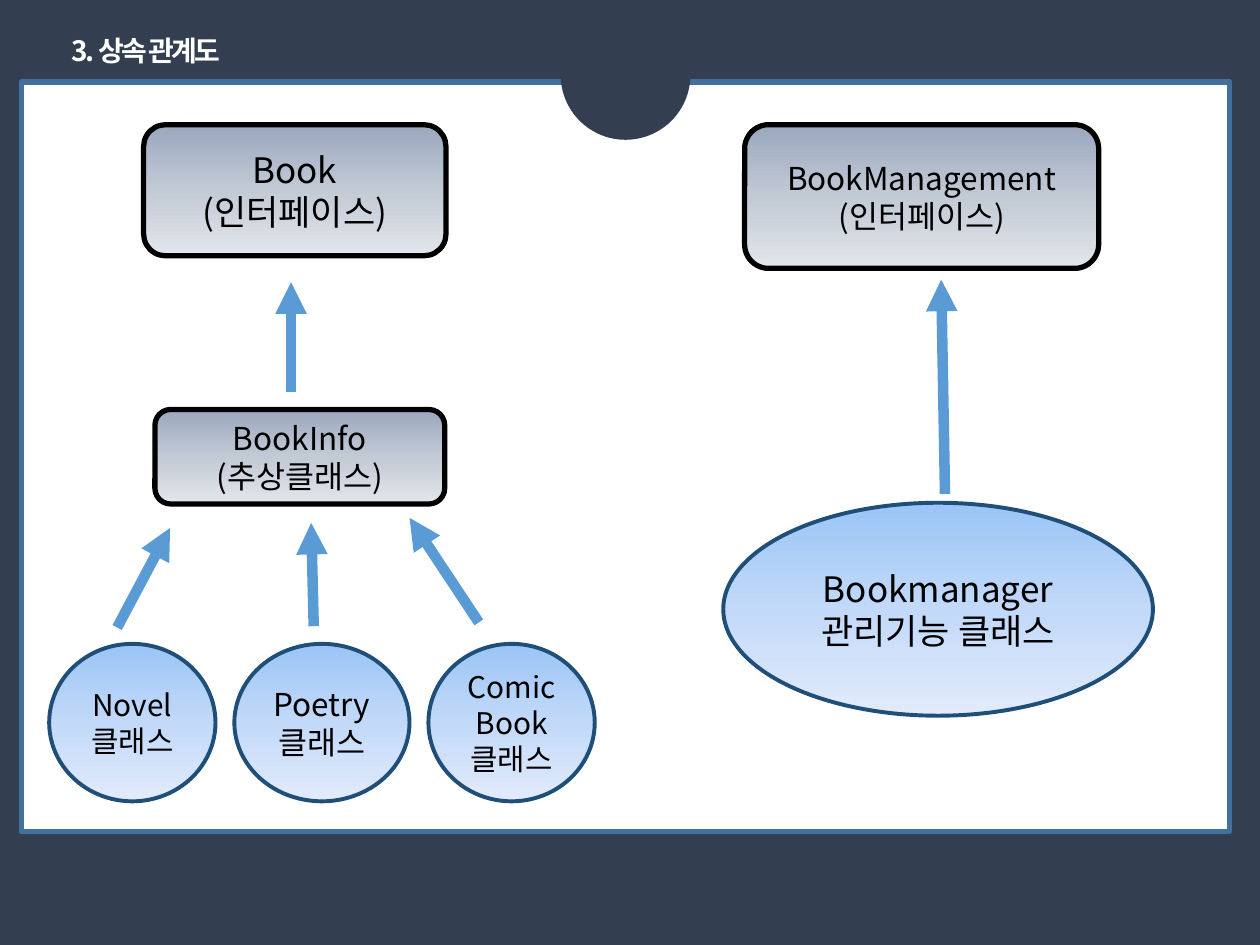
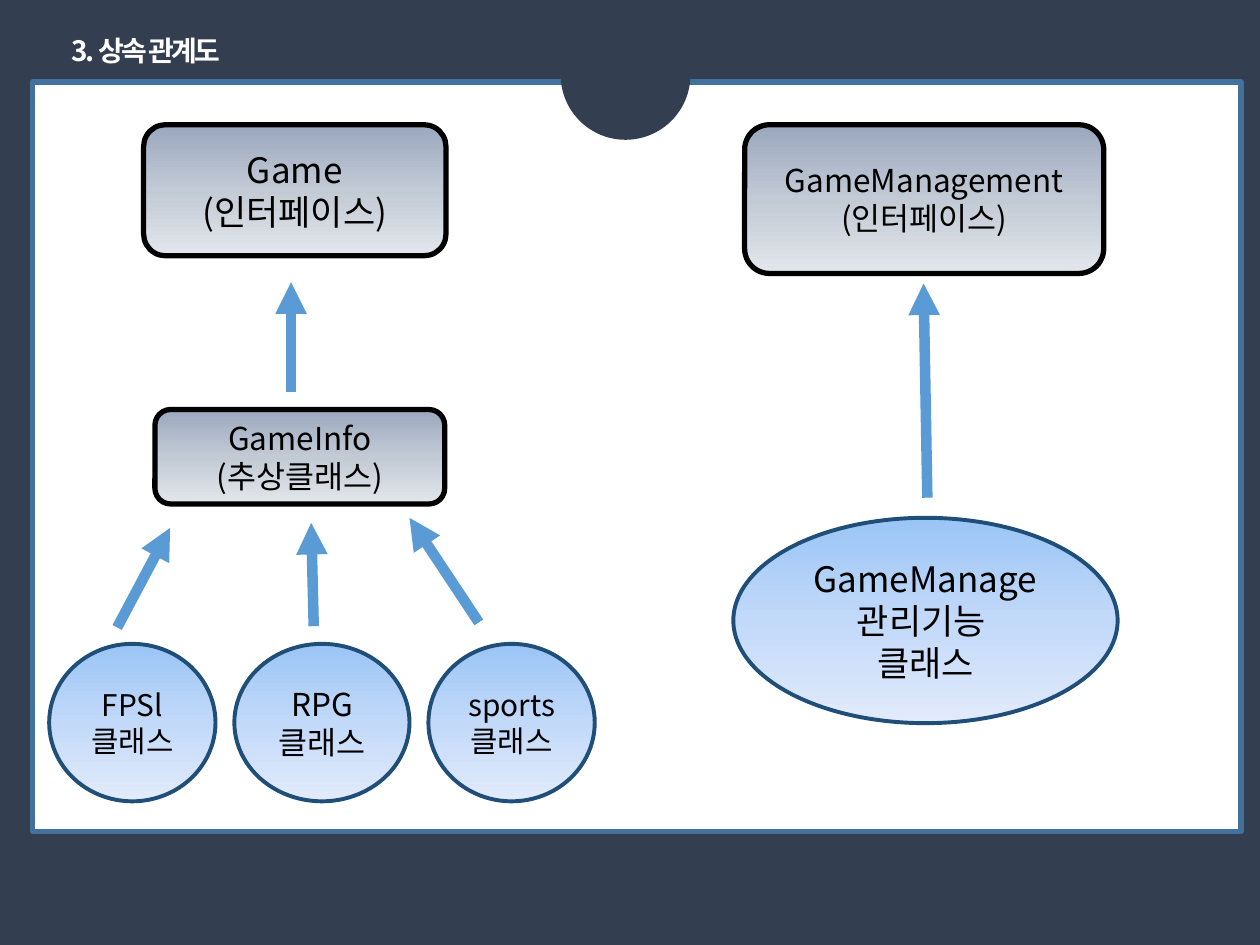
from copy import deepcopy
from dataclasses import dataclass

from pptx import Presentation
from pptx.dml.color import RGBColor
from pptx.enum.shapes import MSO_CONNECTOR as Connector, MSO_SHAPE as Shape
from pptx.enum.text import MSO_ANCHOR as Anchor, MSO_AUTO_SIZE as AutoSize, PP_ALIGN as Align
from pptx.oxml.ns import qn
from pptx.oxml.xmlchemy import OxmlElement
from pptx.util import Inches, Pt

# Content: one dict per slide; each box is (paragraphs, ...)
TITLE = "3. 상속 관계도"
INTERFACE, ABSTRACT, CLASS = "(인터페이스)", "(추상클래스)", "클래스"
DIAGRAMS = [
    {
        "panel_left": 0.17,
        "root": ["Book", INTERFACE],
        "base": ["BookInfo", ABSTRACT],
        "children": [["Novel", CLASS], ["Poetry 클래스"], ["ComicBook", CLASS]],
        "management": (["BookManagement", INTERFACE], (5.91, 0.99, 2.81, 1.14)),
        "manager": (["Bookmanager", "관리기능 클래스"], (5.74, 3.99, 3.41, 1.69)),
        "manager_arrow": (7.5, 3.92, 7.47, 2.22),
    },
    {
        "panel_left": 0.26,
        "root": ["Game", INTERFACE],
        "base": ["GameInfo", ABSTRACT],
        "children": [["FPSl", CLASS], ["RPG", CLASS], ["sports", CLASS]],
        "management": (["GameManagement", INTERFACE], (5.91, 0.99, 2.85, 1.18)),
        "manager": (["GameManage", "관리기능 ", CLASS], (5.82, 4.11, 3.05, 1.63)),
        "manager_arrow": (7.36, 3.95, 7.33, 2.25),
    },
]

# Places shared by both diagrams, in inches
ROOT_BOX = (1.14, 0.99, 2.4, 1.04)
BASE_BOX = (1.23, 3.25, 2.3, 0.75)
CHILD_TOP, CHILD_HEIGHT, CHILD_LEFT, CHILD_GAP = 5.11, 1.25, 0.39, 0.15
CHILD_WIDTHS = (1.32, 1.39, 1.32)
TREE_ARROWS = [
    (0.93, 4.98, 1.35, 4.19),
    (2.49, 4.97, 2.47, 4.15),
    (3.8, 4.94, 3.25, 4.11),
    (2.31, 3.11, 2.31, 2.24),
]


@dataclass(frozen=True)
class Theme:
    font: str = "Noto Sans CJK KR"
    background: str = "333F50"
    panel: str = "FFFFFF"
    panel_line: str = "41719C"
    arrow: str = "5B9BD5"
    text: str = "000000"
    title: str = "FFFFFF"
    box_gradient: tuple = ("9AA7BE", "C2CAD5", "E3E6EB")
    box_line: str = "000000"
    class_gradient: tuple = ("9BC5F6", "C2D9F9", "E2EBFB")
    class_line: str = "1F4E79"
    title_size: int = 16
    large: int = 20
    medium: int = 18
    child_sizes: tuple = (17, 18, 17)


THEME = Theme()


def color(value):
    return RGBColor.from_string(value)


def set_solid(fill, value):
    fill.solid()
    fill.fore_color.rgb = color(value)


def set_gradient(shape, colors):
    """Fill from top to bottom with evenly spaced colours."""
    shape.fill.gradient()
    shape.fill.gradient_angle = 270
    stop_list = shape._element.spPr.find(qn("a:gradFill")).find(qn("a:gsLst"))
    while len(stop_list) < len(colors):
        stop_list.append(deepcopy(stop_list[-1]))
    for index, (stop, value) in enumerate(zip(shape.fill.gradient_stops, colors)):
        stop.position = index / (len(colors) - 1)
        stop.color.rgb = color(value)


def set_font(paragraph, size, value, bold=None):
    font = paragraph.font
    font.name, font.size, font.bold = THEME.font, Pt(size), bold
    font.color.rgb = color(value)
    east_asian = OxmlElement("a:ea")
    east_asian.set("typeface", THEME.font)
    properties = paragraph._p.pPr.find(qn("a:defRPr"))
    properties.find(qn("a:latin")).addnext(east_asian)
    return properties


def add_shape(slide, kind, place, line=None, line_width=3):
    shape = slide.shapes.add_shape(kind, *map(Inches, place))
    shape.shadow.inherit = False
    if line:
        shape.line.color.rgb = color(line)
        shape.line.width = Pt(line_width)
    else:
        shape.line.fill.background()
    return shape


def add_node(slide, kind, place, lines, size):
    """Rounded box for a type, ellipse for a concrete class."""
    if kind == Shape.OVAL:
        colors, line, width = THEME.class_gradient, THEME.class_line, 2.25
    else:
        colors, line, width = THEME.box_gradient, THEME.box_line, 3
    shape = add_shape(slide, kind, place, line, width)
    set_gradient(shape, colors)
    frame = shape.text_frame
    frame.word_wrap = True
    frame.vertical_anchor = Anchor.MIDDLE
    frame.text = "\n".join(lines)
    for paragraph in frame.paragraphs:
        paragraph.alignment = Align.CENTER
        set_font(paragraph, size, THEME.text)


def add_arrow(slide, ends):
    arrow = slide.shapes.add_connector(Connector.STRAIGHT, *map(Inches, ends))
    arrow.line.color.rgb = color(THEME.arrow)
    arrow.line.width = Pt(6)
    head = OxmlElement("a:tailEnd")
    head.set("type", "triangle")
    arrow.line._get_or_add_ln().append(head)
    arrow._element.spPr.append(OxmlElement("a:effectLst"))


def add_frame(slide, panel_left):
    """Background, white panel and the notch over its top edge."""
    set_solid(slide.background.fill, THEME.background)
    panel = add_shape(slide, Shape.RECTANGLE, (panel_left, 0.65, 9.59, 5.95), THEME.panel_line)
    set_solid(panel.fill, THEME.panel)
    notch = add_shape(slide, Shape.OVAL, (4.45, 0.08, 1.03, 1.03))
    set_solid(notch.fill, THEME.background)


def add_title(slide):
    box = slide.shapes.add_textbox(*map(Inches, (0.47, 0.22, 1.99, 0.37)))
    frame = box.text_frame
    frame.word_wrap = True
    frame.auto_size = AutoSize.SHAPE_TO_FIT_TEXT
    frame.text = TITLE
    properties = set_font(frame.paragraphs[0], THEME.title_size, THEME.title, bold=True)
    properties.set("spc", "-150")


def add_diagram(slide, diagram):
    add_frame(slide, diagram["panel_left"])

    # Inheritance tree on the left
    add_node(slide, Shape.ROUNDED_RECTANGLE, ROOT_BOX, diagram["root"], THEME.large)
    add_node(slide, Shape.ROUNDED_RECTANGLE, BASE_BOX, diagram["base"], THEME.medium)
    left = CHILD_LEFT
    for lines, width, size in zip(diagram["children"], CHILD_WIDTHS, THEME.child_sizes):
        add_node(slide, Shape.OVAL, (left, CHILD_TOP, width, CHILD_HEIGHT), lines, size)
        left += width + CHILD_GAP
    for ends in TREE_ARROWS:
        add_arrow(slide, ends)

    # Management interface and its class on the right
    lines, place = diagram["management"]
    add_node(slide, Shape.ROUNDED_RECTANGLE, place, lines, THEME.medium)
    lines, place = diagram["manager"]
    add_node(slide, Shape.OVAL, place, lines, THEME.large)
    add_arrow(slide, diagram["manager_arrow"])

    add_title(slide)


def main():
    presentation = Presentation()
    presentation.slide_width, presentation.slide_height = Inches(10), Inches(7.5)
    for diagram in DIAGRAMS:
        add_diagram(presentation.slides.add_slide(presentation.slide_layouts[6]), diagram)
    presentation.save("out.pptx")


if __name__ == "__main__":
    main()
